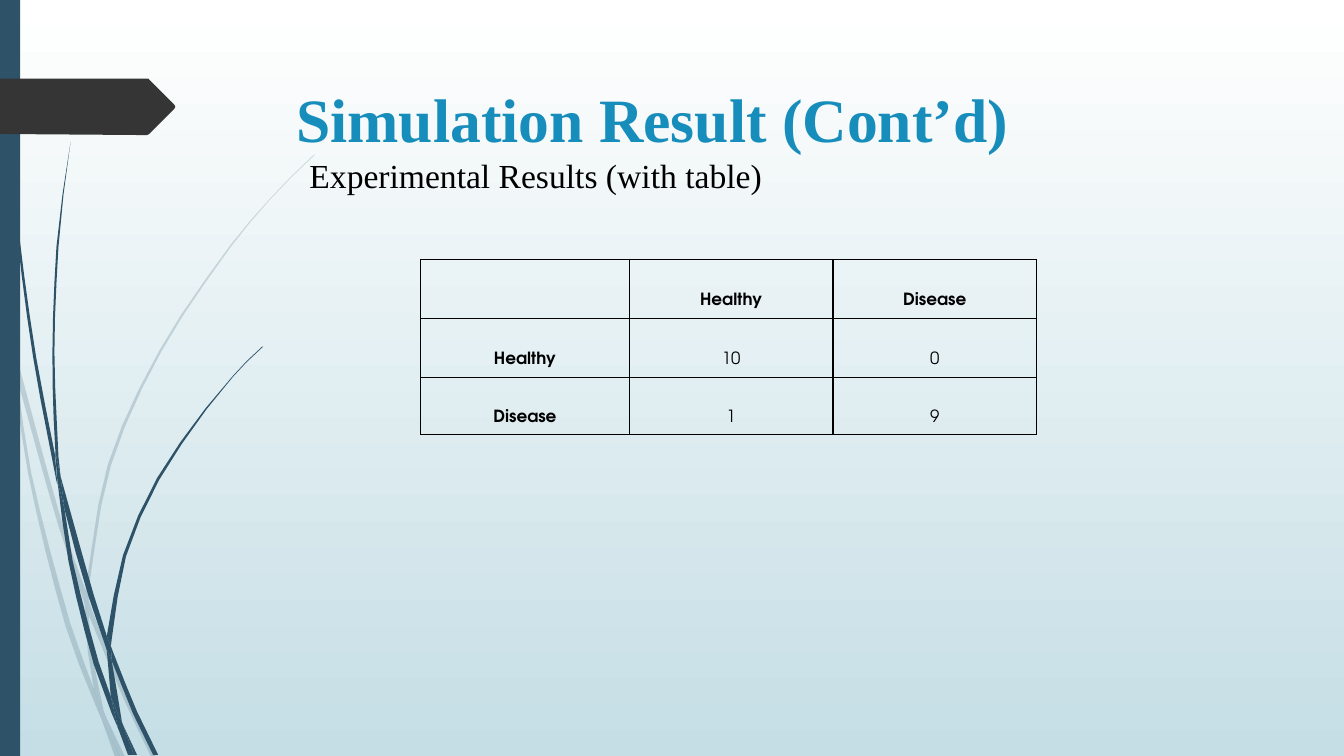
"""Builds the simulation result slide with its grass decoration and table."""
from lxml import etree
from pptx import Presentation
from pptx import util as u
from pptx.dml.color import RGBColor
from pptx.enum import shapes, text
from pptx.oxml import ns

COLORS = {"top": "FFFFFF", "bottom": "C5DEE5", "grass": "2E5369",
          "tag": "353535", "title": "178DBB", "ink": "000000"}
SERIF = "Times New Roman"
TITLE_FONT = {"name": SERIF, "size": u.Pt(44), "bold": True}
SUBTITLE_FONT = {"name": SERIF, "size": u.Pt(24), "bold": False}
CELL_FONT = {"name": "TeX Gyre Adventor", "size": u.Pt(12)}
TITLE_FRAME = {"margin_top": u.Pt(9), "margin_bottom": 0, "margin_left": u.Pt(7.2),
               "word_wrap": True, "vertical_anchor": text.MSO_ANCHOR.TOP,
               "auto_size": text.MSO_AUTO_SIZE.NONE}
SUBTITLE_FRAME = {**TITLE_FRAME, "margin_top": u.Pt(6), "margin_bottom": u.Pt(2.4),
                  "auto_size": text.MSO_AUTO_SIZE.SHAPE_TO_FIT_TEXT}
CELL_FORMAT = {"margin_left": u.Pt(5), "margin_right": u.Pt(5), "margin_top": 0,
               "margin_bottom": 0, "vertical_anchor": text.MSO_ANCHOR.MIDDLE}
UNIT = 0.72
STEP_LENGTH = 40

FAINT_BLADES = [
    "11,350 9,322 0,282|0,299 10,344 11,350",
    "14,345 62,520 85,586|84,599 58,522 17,376",
    "88,610 123,694 150,751|155,751 127,692 92,607 88,596",
    "105,711 119,751|124,751",
    "11,350 28,470 65,621 92,693 101,714|99,707 93,683 70,619 31,469 17,376",
    "84,599 87,646 93,683 96,692 105,711|103,706 91,646 88,610 88,608",
    "88,596 88,584 110,462 160,349 229,245 268,198 290,175 312,154|"
    "312,153 289,175 268,197 228,244 158,348 107,461 85,584 85,586",
    "101,714 114,751|119,751",
    "85,586 84,599 88,608 88,610|88,596",
    "93,683 99,707 101,714 119,751|105,711 96,692",
]
DARK_BLADES = [
    "3,0 4,48 7,110 17,233 33,355 56,477 57,481|55,457 55,453 36,355 19,232 8,109 5,48 4,0",
    "60,472 64,505 88,592 106,645|106,633 106,631 93,590 60,472",
    "110,641 111,656 132,708 152,749|157,749 136,706 113,649",
    "57,477 68,557 93,659 111,708 117,722|116,717 110,691 98,657 72,556 64,505",
    "70,141 62,193 56,245 52,349 55,449 60,472|58,453 54,349 58,245 63,193 70,141",
    "122,719 133,749|136,749",
    "55,449 55,453 57,477 64,505|60,472",
    "260,344 245,358 231,373 204,405 156,474 122,551 106,631|"
    "110,641 111,633 125,552 158,476 205,406 231,374 245,359 261,344",
    "117,722 127,749|131,749",
    "106,645 110,691 116,706 122,719|121,716 111,656 109,651",
    "106,631 106,645 109,651 111,656|110,641",
    "110,691 116,717 117,722 130,749|133,749 122,719 116,706",
]
TAG = "0,78 147,78|173,104 174,106 173,108|148,133 146,134 136,134|0,133"
RESULTS = [["", "Healthy", "Disease"], ["Healthy", "10", "0"], ["Disease", "1", "9"]]


def rgb(name):
    return RGBColor.from_string(COLORS[name])


def apply(target, values):
    for key, value in values.items():
        setattr(target, key, value)


def paint(shape, color, alpha=None):
    shape.shadow.inherit = False
    shape.fill.solid()
    shape.fill.fore_color.rgb = rgb(color)
    shape.line.fill.background()
    if alpha:
        tone = shape.element.spPr.find(ns.qn("a:solidFill"))[0]
        etree.SubElement(tone, ns.qn("a:alpha"), val=str(alpha * 1000))


def smooth_edge(edge):
    """Return points along a smooth curve through the knots of one edge."""
    knots = [complex(*map(float, pair.split(","))) for pair in edge.split()]
    gaps = [abs(b - a) for a, b in zip(knots, knots[1:])]
    slopes = []
    for i in range(len(knots)):
        low, high = max(i - 1, 0), min(i + 1, len(knots) - 1)
        slopes.append((knots[high] - knots[low]) / (sum(gaps[low:high]) or 1))
    points = []
    for i, gap in enumerate(gaps):
        steps = max(1, round(gap / STEP_LENGTH)) if len(knots) > 2 else 1
        for step in range(steps):
            t = step / steps
            points.append(knots[i] * (1 + 2 * t) * (1 - t) ** 2
                          + knots[i + 1] * t * t * (3 - 2 * t)
                          + gap * t * (1 - t) * (slopes[i] * (1 - t) - slopes[i + 1] * t))
    return points + knots[-1:]


def add_outline(parent, outline, color, alpha=None):
    points = [(u.Pt(point.real * UNIT), u.Pt(point.imag * UNIT))
              for edge in outline.split("|") for point in smooth_edge(edge)]
    builder = parent.shapes.build_freeform(*points[0])
    builder.add_line_segments(points[1:], close=True)
    paint(builder.convert_to_shape(), color, alpha)


def add_grass(slide, blades, alpha=None):
    group = slide.shapes.add_group_shape()
    for blade in blades:
        add_outline(group, blade, "grass", alpha)


def write(frame, words, font, color):
    para = frame.paragraphs[0]
    span = para.add_run()
    span.text = words
    apply(span.font, font)
    span.font.color.rgb = rgb(color)
    return para


def set_title(slide, words):
    title = slide.shapes.title
    apply(title, {"left": u.Pt(204.5), "top": u.Pt(49), "width": u.Pt(702), "height": u.Pt(57)})
    apply(title.text_frame, TITLE_FRAME)
    write(title.text_frame, words, TITLE_FONT, "title").alignment = text.PP_ALIGN.LEFT


def add_subtitle(slide, words):
    box = slide.shapes.add_textbox(u.Pt(214), u.Pt(104.4), u.Pt(366), u.Pt(36))
    apply(box.text_frame, SUBTITLE_FRAME)
    write(box.text_frame, words, SUBTITLE_FONT, "ink")


def add_borders(cell):
    props = cell._tc.get_or_add_tcPr()
    for side in ("lnL", "lnR", "lnT", "lnB"):
        line = etree.SubElement(props, ns.qn("a:" + side), w=str(u.Pt(1)))
        fill = etree.SubElement(line, ns.qn("a:solidFill"))
        etree.SubElement(fill, ns.qn("a:srgbClr"), val=COLORS["ink"])


def add_results(slide, rows):
    table = slide.shapes.add_table(len(rows), len(rows[0]), u.Pt(300.5), u.Pt(185.3),
                                   u.Pt(440), u.Pt(125)).table
    apply(table, {"first_row": False, "horz_banding": False})
    for column, width in zip(table.columns, (149, 145.5, 145.5)):
        column.width = u.Pt(width)
    for row, height in zip(table.rows, (42.3, 42.3, 40.4)):
        row.height = u.Pt(height)
    for r, values in enumerate(rows):
        for c, value in enumerate(values):
            cell = table.cell(r, c)
            apply(cell, CELL_FORMAT)
            add_borders(cell)
            cell.fill.background()
            if value:
                font = {**CELL_FONT, "bold": r == 0 or c == 0}
                para = write(cell.text_frame, value, font, "ink")
                apply(para, {"alignment": text.PP_ALIGN.CENTER, "line_spacing": 2.5})


def set_background(slide):
    fill = slide.background.fill
    fill.gradient()
    fill.gradient_angle = 270
    for stop, color, position in zip(fill.gradient_stops, ("top", "bottom"), (0, 1)):
        stop.color.rgb = rgb(color)
        stop.position = position


def main():
    deck = Presentation()
    apply(deck, {"slide_width": u.Pt(960), "slide_height": u.Pt(540)})
    page = deck.slides.add_slide(deck.slide_layouts[5])
    set_background(page)
    add_grass(page, FAINT_BLADES, 20)
    add_grass(page, DARK_BLADES)
    bar = page.shapes.add_shape(shapes.MSO_SHAPE.RECTANGLE, 0, 0, u.Pt(14.4), u.Pt(540))
    paint(bar, "grass")
    add_outline(page, TAG, "tag")
    set_title(page, "Simulation Result (Cont’d)")
    add_subtitle(page, "Experimental Results (with table)")
    add_results(page, RESULTS)
    deck.save("out.pptx")


if __name__ == "__main__":
    main()
